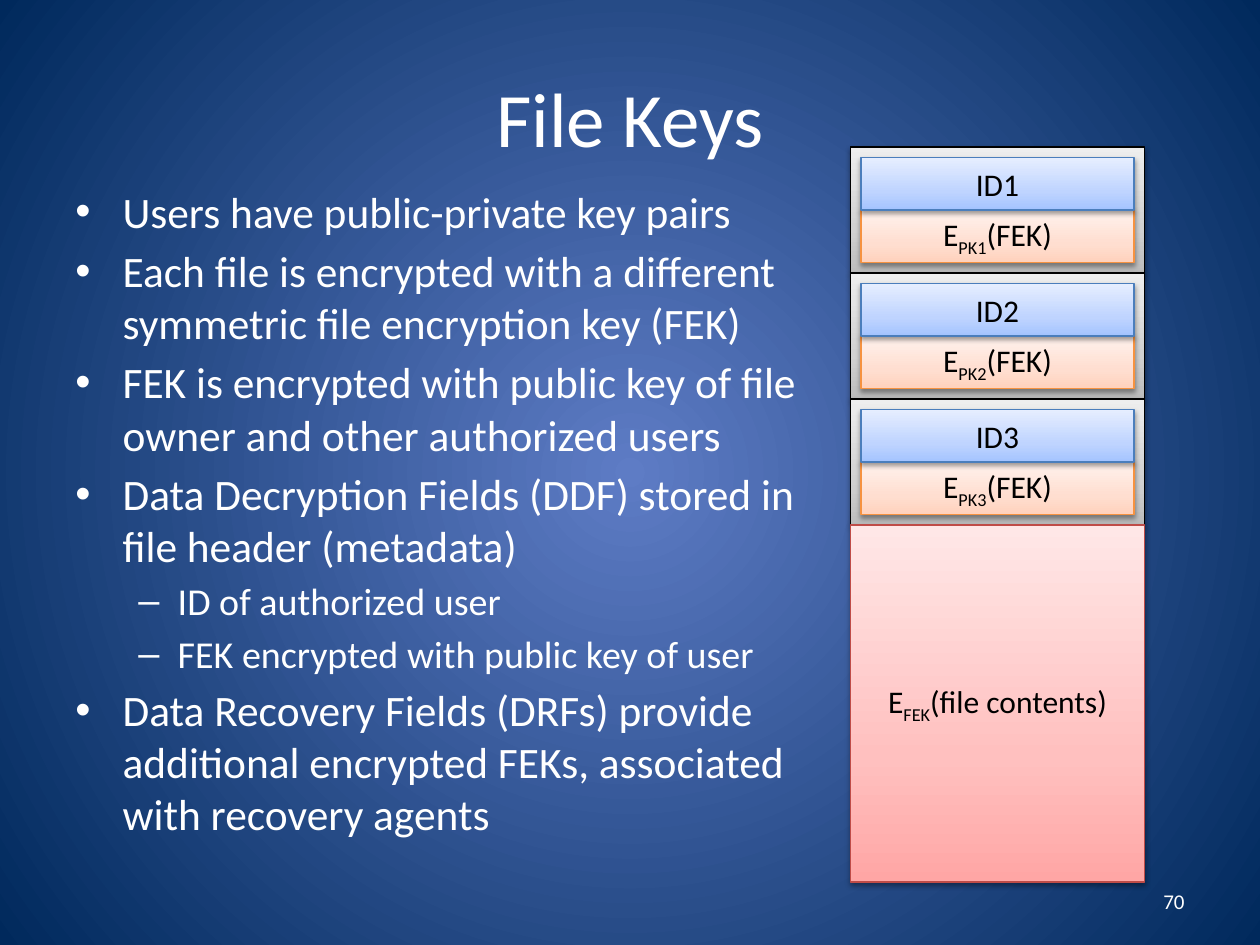
from pptx import Presentation
from pptx.dml.color import RGBColor
from pptx.enum.shapes import MSO_SHAPE
from pptx.enum.text import MSO_ANCHOR as Anchor, PP_ALIGN as Align
from pptx.oxml import parse_xml
from pptx.oxml.ns import nsdecls, qn
from pptx.util import Pt

GRAY = [(0, "BDBDBD"), (35, "D1D1D1"), (100, "EEEEEE")]
ORANGE = [(0, "FFD2BD"), (35, "FFDED0"), (100, "FFF2ED")]
BLUE = [(0, "A4C4FF"), (35, "BFD4FF"), (100, "E6EEFF")]
RED = [(0, "FFA6A5"), (35, "FFC0BF"), (100, "FFE7E7")]
BACKDROP = [(0, "5E7CC5"), (100, "00295C")]
UPWARD = '<a:lin {} ang="16200000" scaled="0"/>'
RADIAL = ('<a:path {} path="circle"><a:fillToRect l="50000" t="50000" '
          'r="50000" b="50000"/></a:path>')
SHADOW = ('<a:outerShdw {} blurRad="39370" dist="20320" dir="5400000" rotWithShape="0">'
          '<a:srgbClr val="000000"><a:alpha val="38000"/></a:srgbClr></a:outerShdw>')

POINTS = [
    (0, "Users have public-private key pairs"),
    (0, "Each file is encrypted with a different symmetric file encryption key (FEK)"),
    (0, "FEK is encrypted with public key of file owner and other authorized users"),
    (0, "Data Decryption Fields (DDF) stored in file header (metadata)"),
    (1, "ID of authorized user"),
    (1, "FEK encrypted with public key of user"),
    (0, "Data Recovery Fields (DRFs) provide additional encrypted FEKs, "
        "associated with recovery agents"),
]
LEVELS = [
    dict(size=24.8, bullet="•", indent=(27, -27), before=4.2),
    dict(size=21.7, bullet="–", indent=(58.5, -22.5), before=3.8),
]


def color(value):
    return RGBColor.from_string(value)


def xml(template):
    return parse_xml(template.format(nsdecls("a")))


def paint(owner, fill, stops, direction):
    fill.gradient()
    gradient = owner.find(".//" + qn("a:gradFill"))
    for child in list(gradient):
        gradient.remove(child)
    marks = "".join(f'<a:gs pos="{position * 1000}"><a:srgbClr val="{tone}"/></a:gs>'
                    for position, tone in stops)
    gradient.append(xml("<a:gsLst {}>" + marks + "</a:gsLst>"))
    gradient.append(xml(direction))


def write(paragraph, text, size=18, tone="FFFFFF", align=Align.LEFT,
          bullet=None, indent=(0, 0), before=0):
    paragraph.alignment = align
    if bullet:
        properties = paragraph._p.get_or_add_pPr()
        properties.set("marL", str(Pt(indent[0])))
        properties.set("indent", str(Pt(indent[1])))
        properties.append(xml('<a:buFont {} typeface="Arial"/>'))
        properties.append(xml(f'<a:buChar {{}} char="{bullet}"/>'))
    paragraph.space_before = Pt(before)
    for index, part in enumerate([text] if isinstance(text, str) else text):
        run = paragraph.add_run()
        run.text = part
        run.font.name = "Calibri"
        run.font.size = Pt(size)
        run.font.color.rgb = color(tone)
        if index == 1:
            run._r.get_or_add_rPr().set("baseline", "-25000")


class KeySlide:
    """Draws the elements of one slide in a shared style."""

    def __init__(self, deck):
        self.slide = deck.slides.add_slide(deck.slide_layouts[6])
        paint(self.slide.element, self.slide.background.fill, BACKDROP, RADIAL)

    def frame(self, left, top, width, height, anchor=Anchor.MIDDLE):
        frame = self.slide.shapes.add_textbox(
            Pt(left), Pt(top), Pt(width), Pt(height)).text_frame
        frame.word_wrap = True
        frame.vertical_anchor = anchor
        return frame

    def label(self, text, *place, **style):
        write(self.frame(*place).paragraphs[0], text, **style)

    def bullets(self, points, *place):
        frame = self.frame(*place, anchor=Anchor.TOP)
        for index, (level, text) in enumerate(points):
            paragraph = frame.add_paragraph() if index else frame.paragraphs[0]
            paragraph.level = level
            style = LEVELS[level] if index else {**LEVELS[level], "before": 0}
            write(paragraph, text, **style)

    def block(self, left, top, width, height, stops, edge, text=None, group=None):
        block = (group or self.slide).shapes.add_shape(
            MSO_SHAPE.RECTANGLE, Pt(left), Pt(top), Pt(width), Pt(height))
        paint(block.element, block.fill, stops, UPWARD)
        block.line.color.rgb = color(edge)
        block.line.width = Pt(0.75)
        block.shadow.inherit = False
        block.element.spPr.find(qn("a:effectLst")).append(xml(SHADOW))
        if text:
            block.text_frame.word_wrap = True
            block.text_frame.vertical_anchor = Anchor.MIDDLE
            write(block.text_frame.paragraphs[0], text, tone="000000", align=Align.CENTER)

    def key_field(self, number, left, top):
        group = self.slide.shapes.add_group_shape()
        self.block(left, top, 168, 72, GRAY, "000000", group=group)
        self.block(left + 6, top + 36, 156, 30, ORANGE, "F69240",
                   ["E", f"PK{number}", "(FEK)"], group)
        self.block(left + 6, top + 6, 156, 30, BLUE, "4B7EBC", f"ID{number}", group)


def main():
    deck = Presentation()
    deck.slide_width, deck.slide_height = Pt(720), Pt(540)
    page = KeySlide(deck)
    page.label("File Keys", 36, 21.6, 648, 90, size=44, align=Align.CENTER)
    page.bullets(POINTS, 36, 102, 432, 402)
    page.label("70", 516, 500.5, 168, 28.8, size=12, align=Align.RIGHT)
    for number in range(1, 4):
        page.key_field(number, 486, 84 + 72 * (number - 1))
    page.block(486, 300, 168, 204, RED, "BF4C48", ["E", "FEK", "(file contents)"])
    deck.save("out.pptx")


if __name__ == "__main__":
    main()
